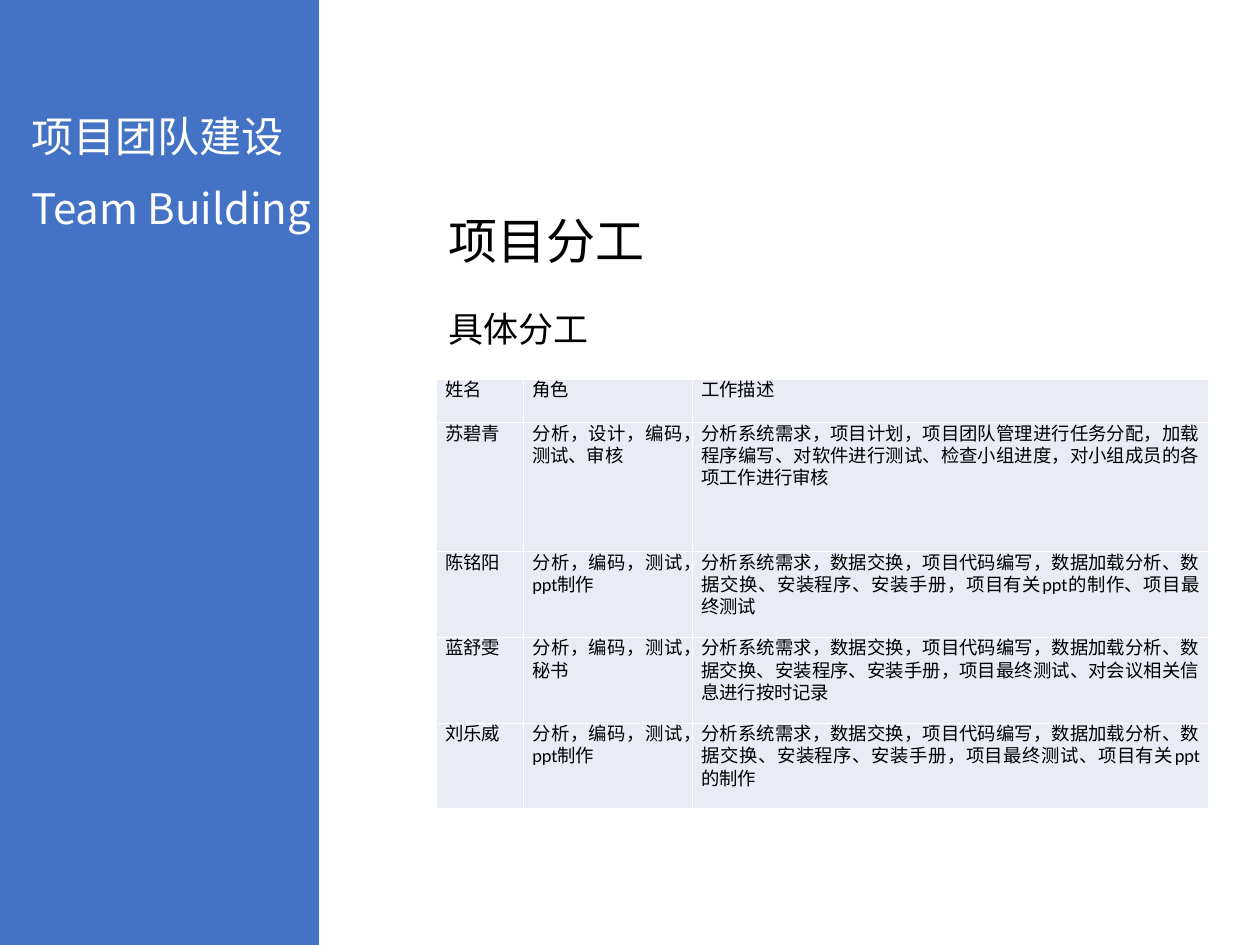
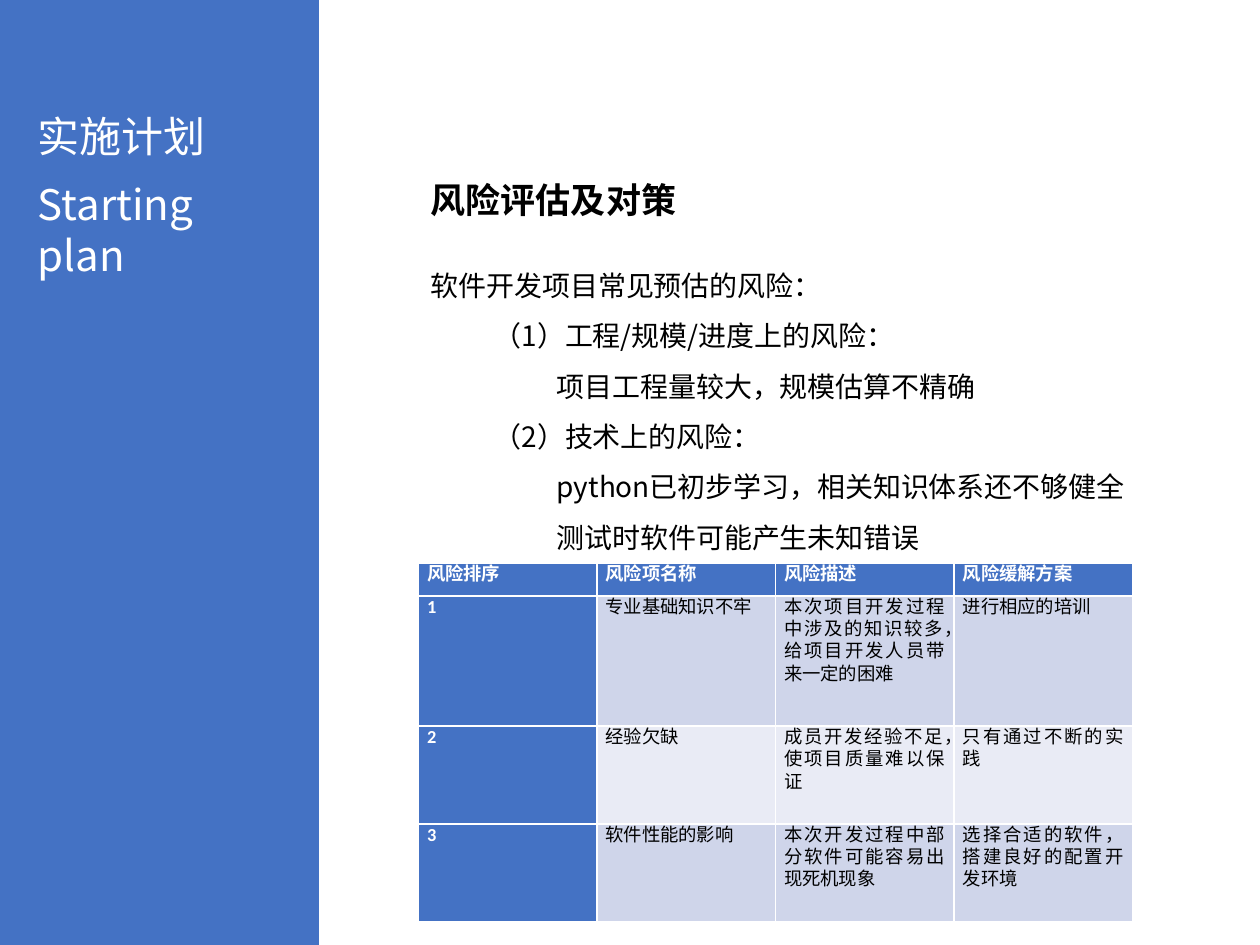
from lxml.etree import SubElement
from pptx import Presentation
from pptx.dml.color import RGBColor
from pptx.enum.shapes import MSO_SHAPE
from pptx.enum.text import MSO_ANCHOR, MSO_AUTO_SIZE, PP_ALIGN
from pptx.oxml.ns import qn
from pptx.util import Cm, Pt

BLUE = RGBColor(0x44, 0x72, 0xC4)
WHITE = RGBColor(0xFF, 0xFF, 0xFF)
BLACK = RGBColor(0x00, 0x00, 0x00)
LIGHT_BAND = RGBColor(0xE9, 0xEB, 0xF5)
DARK_BAND = RGBColor(0xCF, 0xD5, 0xEA)
TEXT_FONT = "Noto Sans CJK SC"
TABLE_FONT = "Calibri"

SLIDE_WIDTH, SLIDE_HEIGHT = Cm(25.4), Cm(19.05)
SIDEBAR_WIDTH = Cm(6.43)
TITLE_ONLY_LAYOUT, TITLE_AND_BODY_LAYOUT = 5, 1
INDENT_STEP = Cm(1.27)

DIVISION_ROWS = [
    ("姓名", "角色", "工作描述"),
    ("苏碧青", "分析，设计，编码，测试、审核",
     "分析系统需求，项目计划，项目团队管理进行任务分配，加载程序编写、"
     "对软件进行测试、检查小组进度，对小组成员的各项工作进行审核"),
    ("陈铭阳", "分析，编码，测试，ppt制作",
     "分析系统需求，数据交换，项目代码编写，数据加载分析、数据交换、"
     "安装程序、安装手册，项目有关ppt的制作、项目最终测试"),
    ("蓝舒雯", "分析，编码，测试，\n秘书",
     "分析系统需求，数据交换，项目代码编写，数据加载分析、数据交换、"
     "安装程序、安装手册，项目最终测试、对会议相关信息进行按时记录"),
    ("刘乐威", "分析，编码，测试，\nppt制作",
     "分析系统需求，数据交换，项目代码编写，数据加载分析、数据交换、"
     "安装程序、安装手册，项目最终测试、项目有关ppt的制作"),
]

RISK_LINES = [
    (0, "软件开发项目常见预估的风险："),
    (1, "（1）工程/规模/进度上的风险："),
    (2, "项目工程量较大，规模估算不精确"),
    (1, "（2）技术上的风险："),
    (2, "python已初步学习，相关知识体系还不够健全"),
    (2, "测试时软件可能产生未知错误"),
]

RISK_ROWS = [
    ("风险排序", "风险项名称", "风险描述", "风险缓解方案"),
    ("1", "专业基础知识不牢",
     "本次项目开发过程中涉及的知识较多，给项目开发人员带来一定的困难",
     "进行相应的培训"),
    ("2", "经验欠缺", "成员开发经验不足，使项目质量难以保证",
     "只有通过不断的实践"),
    ("3", "软件性能的影响", "本次开发过程中部分软件可能容易出现死机现象",
     "选择合适的软件，搭建良好的配置开发环境"),
]


def format_runs(paragraph, size, color, bold=False, font_name=TEXT_FONT):
    for run in paragraph.runs:
        run.font.size = Pt(size)
        run.font.bold = bold
        run.font.color.rgb = color
        run.font.name = font_name
        east_asian = SubElement(run.font._element, qn("a:ea"))
        east_asian.set("typeface", font_name)


def place(shape, left, top, width, height):
    shape.left, shape.top = Cm(left), Cm(top)
    shape.width, shape.height = Cm(width), Cm(height)
    text_frame = shape.text_frame
    text_frame.word_wrap = True
    text_frame.auto_size = MSO_AUTO_SIZE.NONE
    text_frame.vertical_anchor = MSO_ANCHOR.TOP


def add_label(slide, text, left, top, width, size, color):
    label = slide.shapes.add_textbox(0, 0, 0, 0)
    place(label, left, top, width, 1.27)
    label.text_frame.text = text
    format_runs(label.text_frame.paragraphs[0], size, color)


def add_sidebar(slide, chinese, english, left, english_top, english_width):
    band = slide.shapes.add_shape(
        MSO_SHAPE.RECTANGLE, 0, 0, SIDEBAR_WIDTH, SLIDE_HEIGHT)
    band.shadow.inherit = False
    band.fill.solid()
    band.fill.fore_color.rgb = BLUE
    band.line.fill.background()
    add_label(slide, chinese, left, 2.11, 6, 24, WHITE)
    add_label(slide, english, left, english_top, english_width, 24, WHITE)


def set_title(slide, text, left, top, size, bold=False):
    title = slide.shapes.title
    place(title, left, top, 14, 1.45)
    title.text_frame.text = text
    paragraph = title.text_frame.paragraphs[0]
    paragraph.alignment = PP_ALIGN.LEFT
    format_runs(paragraph, size, BLACK, bold)


def fill_indented_list(body, lines):
    text_frame = body.text_frame
    text_frame.text = "\n".join(text for _, text in lines)
    for paragraph, (level, _) in zip(text_frame.paragraphs, lines):
        paragraph.level = level
        properties = paragraph._p.get_or_add_pPr()
        properties.set("marL", str(level * INDENT_STEP))
        properties.set("indent", "0")
        SubElement(properties, qn("a:buNone"))
        paragraph.space_before = Pt(0)
        paragraph.line_spacing = 1.5
        format_runs(paragraph, 16, BLACK)


def add_text_table(slide, rows, left, top, widths, heights, cell_style):
    """Add a table; cell_style(row, column) gives fill, text colour and bold."""
    frame = slide.shapes.add_table(
        len(rows), len(widths), Cm(left), Cm(top),
        Cm(sum(widths)), Cm(sum(heights)))
    table = frame.table
    for column, width in zip(table.columns, widths):
        column.width = Cm(width)
    for row, height in zip(table.rows, heights):
        row.height = Cm(height)
    for row_index, texts in enumerate(rows):
        for column_index, text in enumerate(texts):
            cell = table.cell(row_index, column_index)
            fill, color, bold = cell_style(row_index, column_index)
            cell.fill.solid()
            cell.fill.fore_color.rgb = fill
            cell.margin_left = cell.margin_right = Cm(0.18)
            cell.margin_top = cell.margin_bottom = 0
            cell.text_frame.text = text
            for paragraph in cell.text_frame.paragraphs:
                paragraph.alignment = PP_ALIGN.JUSTIFY
                format_runs(paragraph, 10.5, color, bold, TABLE_FONT)
    return table


def plain_style(row, column):
    return LIGHT_BAND, BLACK, False


def banded_style(row, column):
    if row == 0 or column == 0:
        return BLUE, WHITE, True
    return (DARK_BAND if row % 2 else LIGHT_BAND), BLACK, False


def add_slide(presentation, layout_index):
    return presentation.slides.add_slide(
        presentation.slide_layouts[layout_index])


def build_division_slide(presentation):
    slide = add_slide(presentation, TITLE_ONLY_LAYOUT)
    add_sidebar(slide, "项目团队建设", "Team Building", 0.38, 3.56, 6.4)
    set_title(slide, "项目分工", 8.79, 4.11, 28)
    add_label(slide, "具体分工", 8.79, 6.07, 5, 20, BLACK)
    table = add_text_table(
        slide, DIVISION_ROWS, 8.8, 7.65, [1.75, 3.41, 10.41],
        [0.87, 2.6] + [1.73] * 3, plain_style)
    table.first_row = False
    table.horz_banding = False


def build_risk_slide(presentation):
    slide = add_slide(presentation, TITLE_AND_BODY_LAYOUT)
    add_sidebar(slide, "实施计划", "Starting plan", 0.51, 3.48, 5.54)
    set_title(slide, "风险评估及对策", 8.43, 3.48, 20, bold=True)
    body = slide.placeholders[1]
    place(body, 8.43, 4.95, 16.18, 6.4)
    fill_indented_list(body, RISK_LINES)
    table = add_text_table(
        slide, RISK_ROWS, 8.43, 11.36, [3.6] * 4,
        [0.65, 2.63, 1.97, 1.97], banded_style)
    table.first_col = True


def main():
    presentation = Presentation()
    presentation.slide_width = SLIDE_WIDTH
    presentation.slide_height = SLIDE_HEIGHT
    build_division_slide(presentation)
    build_risk_slide(presentation)
    presentation.save("out.pptx")


if __name__ == "__main__":
    main()
